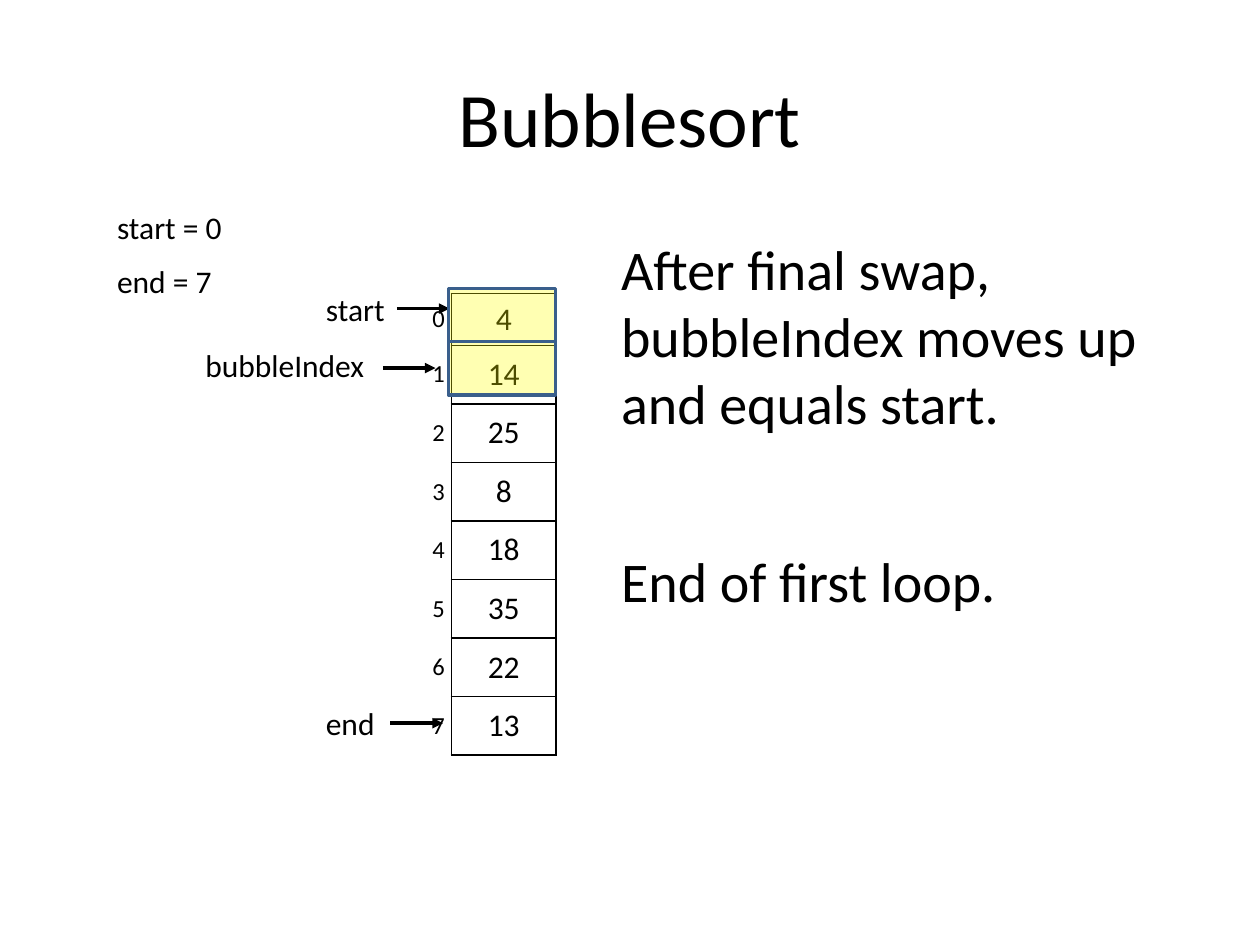
from collections import namedtuple
from dataclasses import dataclass

from lxml.etree import SubElement
from pptx import Presentation
from pptx.dml.color import RGBColor
from pptx.enum.shapes import MSO_CONNECTOR as Connector, MSO_SHAPE as Shape
from pptx.enum.text import MSO_ANCHOR as Anchor, MSO_AUTO_SIZE as AutoSize, PP_ALIGN as Align
from pptx.oxml.ns import qn
from pptx.util import Cm, Pt

Box = namedtuple("Box", "left top width height")


@dataclass(frozen=True)
class Theme:
    font: str = "Calibri"
    ink: str = "000000"
    highlight: str = "FFFF00"
    outline: str = "3A5F8C"
    title: int = 44
    prose: int = 32
    body: int = 18
    index: int = 14


THEME = Theme()
NO_STYLE = "{2D5ABB26-0587-4C30-8999-92F81FD0307C}"
VALUES = [4, 14, 25, 8, 18, 35, 22, 13]


def color(value):
    return RGBColor.from_string(value)


def set_format(target, **formats):
    for name, value in formats.items():
        setattr(target, name, value)


def write(frame, text, size, align=Align.LEFT):
    para = frame.paragraphs[0]
    para.alignment = align
    span = para.add_run()
    span.text = text
    set_format(span.font, name=THEME.font, size=Pt(size))
    span.font.color.rgb = color(THEME.ink)


def add_text(page, box, text, size, align=Align.LEFT, **formats):
    frame = page.shapes.add_textbox(*map(Cm, box)).text_frame
    set_format(frame, **{"word_wrap": True, "auto_size": AutoSize.SHAPE_TO_FIT_TEXT, **formats})
    write(frame, text, size, align)


def add_arrow(page, left, top, length):
    arrow = page.shapes.add_connector(
        Connector.STRAIGHT, Cm(left), Cm(top), Cm(left + length), Cm(top))
    arrow.line.width = Pt(2)
    arrow.line.color.rgb = color(THEME.ink)
    SubElement(arrow.line._get_or_add_ln(), qn("a:tailEnd"), type="triangle")
    SubElement(arrow._element.spPr, qn("a:effectLst"))


def add_highlight(page, box):
    mark = page.shapes.add_shape(Shape.RECTANGLE, *map(Cm, box))
    mark.shadow.inherit = False
    mark.fill.solid()
    mark.fill.fore_color.rgb = color(THEME.highlight)
    tint = mark._element.spPr.find(qn("a:solidFill"))[0]
    SubElement(tint, qn("a:alpha"), val="30000")
    mark.line.width = Pt(2)
    mark.line.color.rgb = color(THEME.outline)


def add_border(cell, sides):
    # Borders must come before the fill in the cell properties
    properties = cell._tc.get_or_add_tcPr()
    for side in sides:
        border = SubElement(properties, qn(f"a:ln{side}"), w=str(Pt(1)))
        fill = SubElement(border, qn("a:solidFill"))
        SubElement(fill, qn("a:srgbClr"), val=THEME.ink)


def add_array_table(page, box):
    graphic = page.shapes.add_table(len(VALUES), 2, *map(Cm, box))
    table = graphic.table
    set_format(table, first_row=False, horz_banding=False)
    table._tbl.tblPr.find(qn("a:tableStyleId")).text = NO_STYLE
    index_width, first_height = 0.64, 1.04
    table.columns[0].width = Cm(index_width)
    table.columns[1].width = Cm(box.width - index_width)
    other_height = (box.height - first_height) / (len(VALUES) - 1)
    for index, value in enumerate(VALUES):
        table.rows[index].height = Cm(other_height if index else first_height)
        columns = [(index, THEME.index, "R"), (value, THEME.body, "LRTB")]
        for column, (number, size, sides) in enumerate(columns):
            cell = table.cell(index, column)
            cell.vertical_anchor = Anchor.MIDDLE
            add_border(cell, sides)
            cell.fill.background()
            write(cell.text_frame, str(number), size, Align.CENTER)


def add_title(page, box):
    add_text(page, box, "Bubblesort", THEME.title, Align.CENTER,
             vertical_anchor=Anchor.MIDDLE, auto_size=AutoSize.NONE)


def add_variables(page, box):
    pitch = 1.1
    for row, text in enumerate(["start = 0", "end = 7"]):
        add_text(page, Box(box.left, box.top + row * pitch, box.width, 1.02), text, THEME.body)


def add_array(page, box):
    # Index column and values
    add_array_table(page, Box(box.left + 4.57, box.top + 0.2, 2.75, 9.3))

    # Pointers: name, label offset and width, arrow offset
    pointers = [
        ("start", 2.43, 0, 1.7, 4.11, 0.5),
        ("bubbleIndex", 0, 1.14, 4.01, 3.83, 1.7),
        ("end", 2.43, 8.35, 1.7, 3.98, 8.86),
    ]
    for name, left, top, width, arrow_left, arrow_top in pointers:
        add_text(page, Box(box.left + left, box.top + top, width, 1.02), name, THEME.body)
        add_arrow(page, box.left + arrow_left, box.top + arrow_top, 1.06)

    # The two cells just swapped, lower one first
    height = 1.07
    for row in (1, 0):
        add_highlight(page, Box(box.left + 5.15, box.top + 0.1 + row * height, 2.16, height))


def add_remarks(page, box):
    remarks = [
        ("After final swap, bubbleIndex moves up and equals start.", 0, 4.37),
        ("End of first loop.", 6.3, 1.63),
    ]
    for text, top, height in remarks:
        add_text(page, Box(box.left, box.top + top, box.width, height), text, THEME.prose)


def main():
    deck = Presentation()
    set_format(deck, slide_width=Cm(25.4), slide_height=Cm(19.05))
    page = deck.slides.add_slide(deck.slide_layouts[6])
    add_title(page, Box(1.27, 0.76, 22.86, 3.18))
    add_variables(page, Box(2.11, 4.06, 2.74, 2.12))
    add_array(page, Box(3.89, 5.72, 7.32, 9.5))
    add_remarks(page, Box(12.27, 4.6, 11.23, 7.93))
    deck.save("out.pptx")


if __name__ == "__main__":
    main()
